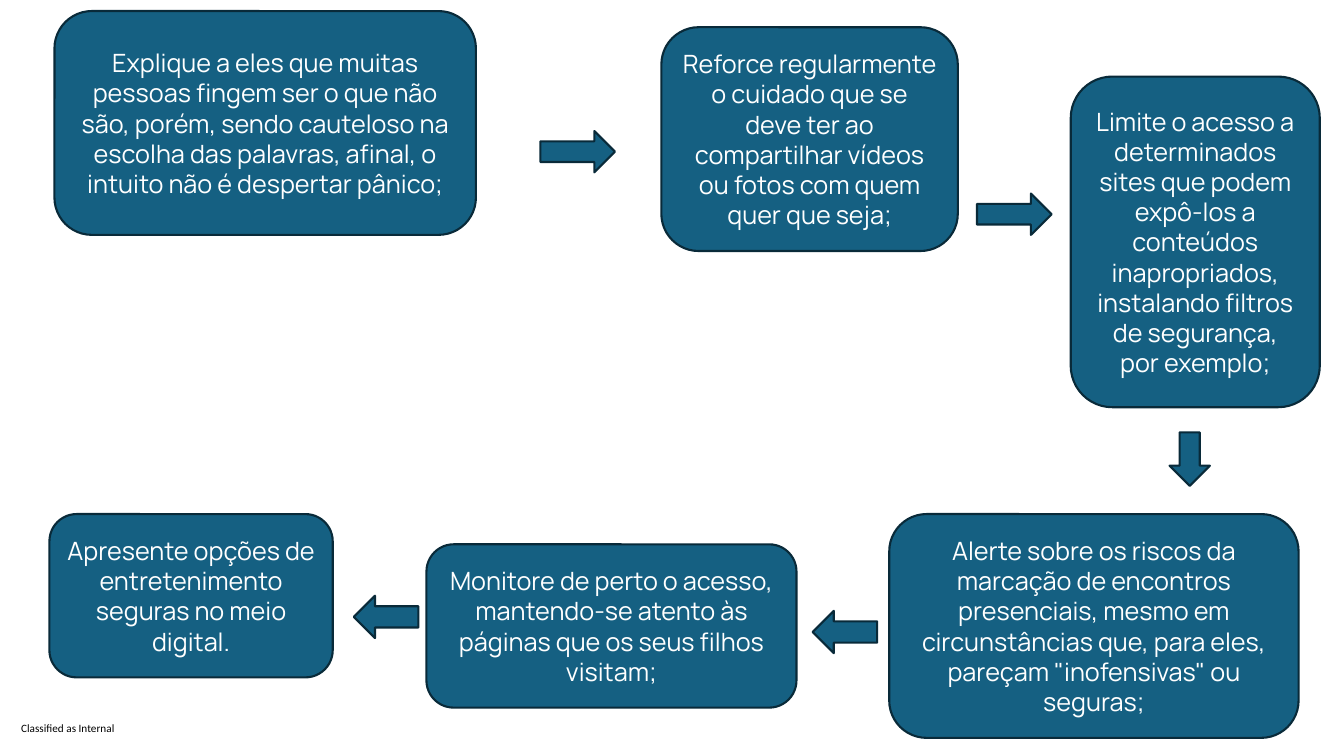
"""Build a slide of online safety steps for parents, linked by arrows."""
from dataclasses import dataclass

import pptx
import pptx.dml.color
import pptx.enum.shapes
import pptx.enum.text
import pptx.shapes.autoshape
import pptx.slide
import pptx.util

PX = 9144
Kind = pptx.enum.shapes.MSO_SHAPE
Color = pptx.dml.color.RGBColor


@dataclass(frozen=True)
class Theme:
    """Hold the colours, fonts and sizes of the slide."""
    fill: Color = Color(0x15, 0x60, 0x82)
    edge: Color = Color(0x09, 0x2A, 0x39)
    light: Color = Color(0xFF, 0xFF, 0xFF)
    dark: Color = Color(0x00, 0x00, 0x00)
    font: str = "Manrope"
    small: str = "Calibri"
    size: int = 18
    note: int = 8
    line: float = 1.5


@dataclass(frozen=True)
class Box:
    """Place a rectangle in px, 100 to the inch."""
    left: int
    top: int
    width: int
    height: int

    def emu(self) -> tuple[int, ...]:
        """Return the place in EMU."""
        return tuple(n * PX for n in (self.left, self.top, self.width, self.height))


@dataclass(frozen=True)
class Step:
    """Describe one advice card."""
    box: Box
    text: str


@dataclass(frozen=True)
class Arrow:
    """Describe one block arrow."""
    box: Box
    kind: Kind


THEME = Theme()
STEPS = [
    Step(Box(54, 11, 418, 222), "Explique a eles que muitas pessoas fingem ser o que não são, "
         "porém, sendo cauteloso na escolha das palavras, afinal, o intuito não é "
         "despertar pânico;"),
    Step(Box(656, 27, 294, 222), "Reforce regularmente o cuidado que se deve ter ao "
         "compartilhar vídeos ou fotos com quem quer que seja;"),
    Step(Box(1062, 76, 247, 328), "Limite o acesso a determinados sites que podem expô-los a "
         "conteúdos inapropriados, instalando filtros de segurança, por exemplo;"),
    Step(Box(882, 510, 406, 222), "Alerte sobre os riscos da marcação de encontros presenciais, "
         "mesmo em circunstâncias que, para eles, pareçam \"inofensivas\" ou seguras;"),
    Step(Box(423, 540, 367, 162), "Monitore de perto o acesso, mantendo-se atento às páginas "
         "que os seus filhos visitam;"),
    Step(Box(49, 510, 281, 162), "Apresente opções de entretenimento seguras no meio digital."),
]
ARROWS = [
    Arrow(Box(536, 130, 74, 41), Kind.RIGHT_ARROW),
    Arrow(Box(969, 192, 74, 41), Kind.RIGHT_ARROW),
    Arrow(Box(1160, 429, 40, 53), Kind.DOWN_ARROW),
    Arrow(Box(806, 606, 64, 42), Kind.LEFT_ARROW),
    Arrow(Box(351, 591, 64, 42), Kind.LEFT_ARROW),
]
LABEL = Step(Box(21, 716, 95, 13), "Classified as Internal")


def draw(slide: pptx.slide.Slide, kind: Kind, box: Box) -> pptx.shapes.autoshape.Shape:
    """Draw a filled shape with the theme's outline."""
    shape = slide.shapes.add_shape(kind, *box.emu())
    shape.shadow.inherit = False
    shape.fill.solid()
    shape.fill.fore_color.rgb = THEME.fill
    shape.line.color.rgb = THEME.edge
    shape.line.width = pptx.util.Pt(THEME.line)
    return shape


def write(shape: pptx.shapes.autoshape.Shape, text: str, font: str, size: int,
          color: Color) -> None:
    """Put one styled paragraph into a shape."""
    para = shape.text_frame.paragraphs[0]
    para.text = text
    para.font.name = font
    para.font.size = pptx.util.Pt(size)
    para.font.color.rgb = color


def card(slide: pptx.slide.Slide, step: Step) -> None:
    """Draw one advice card with centred text."""
    shape = draw(slide, Kind.ROUNDED_RECTANGLE, step.box)
    write(shape, step.text, THEME.font, THEME.size, THEME.light)
    frame = shape.text_frame
    frame.word_wrap = True
    frame.vertical_anchor = pptx.enum.text.MSO_ANCHOR.MIDDLE
    frame.paragraphs[0].alignment = pptx.enum.text.PP_ALIGN.CENTER


def label(slide: pptx.slide.Slide, note: Step) -> None:
    """Draw the small label at the foot of the slide."""
    shape = slide.shapes.add_textbox(*note.box.emu())
    frame = shape.text_frame
    frame.margin_left = frame.margin_right = frame.margin_top = frame.margin_bottom = 0
    frame.auto_size = pptx.enum.text.MSO_AUTO_SIZE.SHAPE_TO_FIT_TEXT
    write(shape, note.text, THEME.small, THEME.note, THEME.dark)


def main() -> None:
    """Build and save the slide."""
    deck = pptx.Presentation()
    deck.slide_width, deck.slide_height = 1333 * PX, 750 * PX
    slide = deck.slides.add_slide(deck.slide_layouts[6])
    label(slide, LABEL)
    for step in STEPS:
        card(slide, step)
    for arrow in ARROWS:
        draw(slide, arrow.kind, arrow.box)
    deck.save("out.pptx")


if __name__ == "__main__":
    main()
